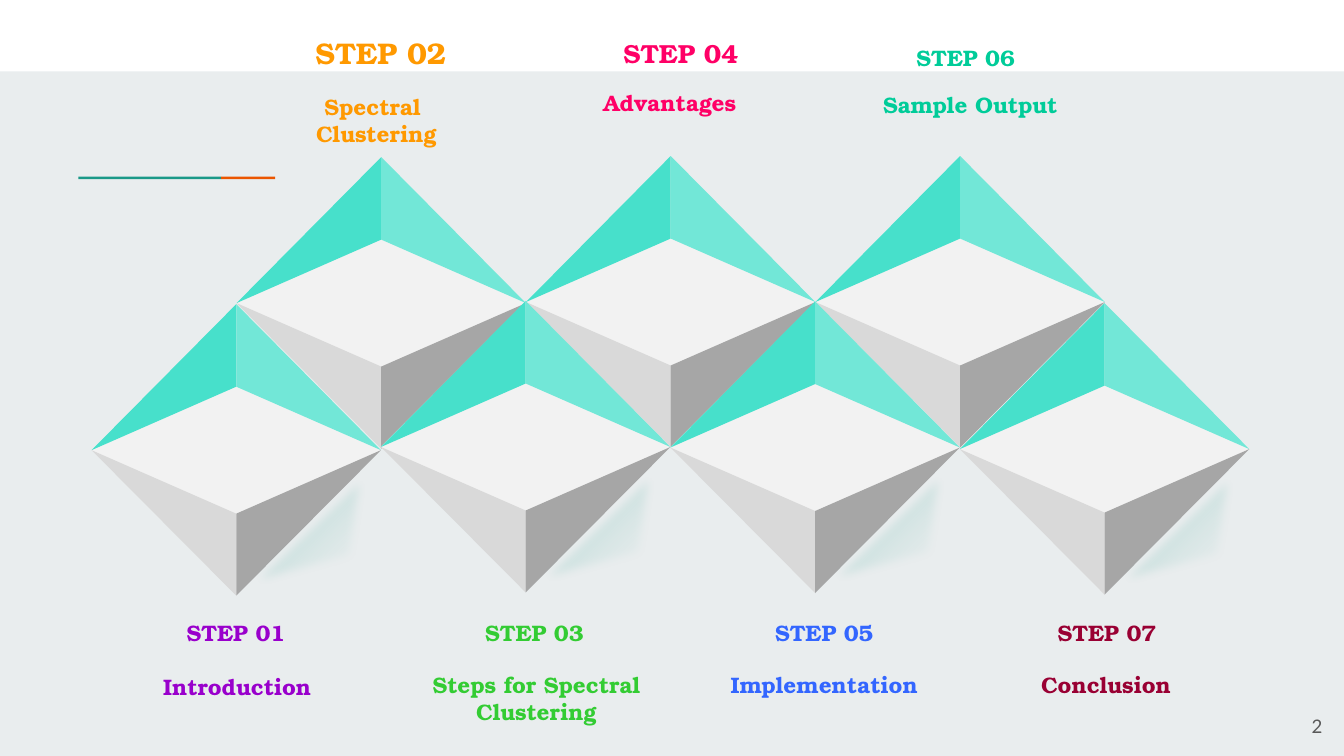
from lxml import etree
from pptx import Presentation
from pptx.dml.color import RGBColor
from pptx.enum.shapes import MSO_SHAPE
from pptx.enum.text import MSO_ANCHOR, MSO_AUTO_SIZE, PP_ALIGN
from pptx.oxml import parse_xml
from pptx.oxml.ns import nsdecls, qn
from pptx.util import Cm, Pt

WHITE = RGBColor(0xFF, 0xFF, 0xFF)
BACKDROP = RGBColor(0xE9, 0xED, 0xEE)
TEAL = RGBColor(0x1A, 0x99, 0x88)
RUST = RGBColor(0xEB, 0x56, 0x00)
TOP_FACE = RGBColor(0xF2, 0xF2, 0xF2)
LEFT_WALL = RGBColor(0x47, 0xE0, 0xCB)
RIGHT_WALL = RGBColor(0x72, 0xE7, 0xD7)
LEFT_SIDE = RGBColor(0xD9, 0xD9, 0xD9)
RIGHT_SIDE = RGBColor(0xA6, 0xA6, 0xA6)
PURPLE = RGBColor(0x99, 0x00, 0xCC)
ORANGE = RGBColor(0xFF, 0x99, 0x00)
GREEN = RGBColor(0x33, 0xCC, 0x33)
PINK = RGBColor(0xFF, 0x00, 0x66)
BLUE = RGBColor(0x33, 0x66, 0xFF)
MINT = RGBColor(0x00, 0xCC, 0x99)
MAROON = RGBColor(0x99, 0x00, 0x33)
GREY = RGBColor(0x59, 0x59, 0x59)

PAGE_WIDTH, PAGE_HEIGHT = 25.4, 14.29
CUBE_WIDTH = 5.47
BACK_ROW = (4.47, (2.97, 2.95, 2.95))
FRONT_ROW = (1.73, (5.75, 5.69, 5.7, 5.73))

STEPS = [
    ("STEP 01", PURPLE, 12, (2.77, 11.58), "Introduction", (2.39, 12.6, 4.19)),
    ("STEP 02", ORANGE, 16, (5.51, 0.53), "Spectral \nClustering", (5.36, 1.63, 3.51)),
    ("STEP 03", GREEN, 12, (8.41, 11.58), "Steps for Spectral Clustering", (7.42, 12.57, 5.44)),
    ("STEP 04", PINK, 14, (11.18, 0.58), "Advantages", (10.41, 1.57, 4.5)),
    ("STEP 05", BLUE, 12, (13.89, 11.58), "Implementation", (13.41, 12.57, 4.34)),
    ("STEP 06", MINT, 12, (16.56, 0.71), "Sample Output", (15.29, 1.6, 6.1)),
    ("STEP 07", MAROON, 12, (19.23, 11.58), "Conclusion", (19.18, 12.57, 3.45)),
]


def set_values(target, values):
    """Set attributes of an object from a dict."""
    for name, value in values.items():
        setattr(target, name, value)


def paint(shape, color):
    """Give a shape a flat fill without outline or shadow."""
    shape.shadow.inherit = False
    shape.line.fill.background()
    shape.fill.solid()
    shape.fill.fore_color.rgb = color


def add_preset(page, kind, box, color):
    """Add a flat preset shape in a box of centimetres."""
    shape = page.shapes.add_shape(kind, *map(Cm, box))
    paint(shape, color)


def add_polygon(page, points, color):
    """Add a closed flat polygon through points in centimetres."""
    corners = [(Cm(x), Cm(y)) for x, y in points]
    builder = page.shapes.build_freeform(*corners[0])
    builder.add_line_segments(corners[1:], close=True)
    polygon = builder.convert_to_shape()
    paint(polygon, color)
    return polygon


def add_header(page, box):
    """Add the white top band and the two-colour rule beneath it."""
    left, top, width, height = box
    add_preset(page, MSO_SHAPE.RECTANGLE, box, WHITE)
    for offset, length, color in ((1.48, 2.7, TEAL), (4.18, 1.02, RUST)):
        rule = (left + offset, top + 3.34, length, 0.05)
        add_preset(page, MSO_SHAPE.RECTANGLE, rule, color)


def add_cube(page, left, top):
    """Add an open cube: a diamond face, two walls and two sides."""
    right, center, middle = left + CUBE_WIDTH, left + CUBE_WIDTH / 2, top + 2.76
    face = (left, top + 0.02, CUBE_WIDTH, CUBE_WIDTH)
    add_preset(page, MSO_SHAPE.DIAMOND, face, TOP_FACE)
    facets = (
        (left, 1.56, 0, LEFT_WALL),
        (right, 1.56, 0, RIGHT_WALL),
        (left, 3.96, 5.51, LEFT_SIDE),
        (right, 3.96, 5.51, RIGHT_SIDE),
    )
    for edge, inner, tip, color in facets:
        points = [(center, top + inner), (center, top + tip), (edge, middle)]
        add_polygon(page, points, color)


def add_cube_shadow(page, left, top):
    """Add the soft translucent shadow at the lower right of a cube."""
    x, y = left + 2.4, top + 2.8
    shadow = add_polygon(page, [(x, y + 2.82), (x + 2.93, y), (x + 2.64, y + 2.11)], TEAL)
    properties = shadow._element.spPr
    gradient = parse_xml(
        f'<a:gradFill {nsdecls("a")} rotWithShape="1"><a:gsLst>'
        f'<a:gs pos="28000"><a:srgbClr val="{TEAL}"><a:alpha val="34000"/></a:srgbClr></a:gs>'
        f'<a:gs pos="100000"><a:srgbClr val="{TOP_FACE}"><a:alpha val="0"/></a:srgbClr></a:gs>'
        '</a:gsLst><a:lin ang="2700000" scaled="0"/></a:gradFill>'
    )
    properties.replace(properties.find(qn("a:solidFill")), gradient)
    effects = properties.find(qn("a:effectLst"))
    etree.SubElement(effects, qn("a:softEdge")).set("rad", "63500")


def add_cubes(page):
    """Add the back row, the front row and the front row's shadows."""
    for start, tops in (BACK_ROW, FRONT_ROW):
        for index, top in enumerate(tops):
            add_cube(page, start + index * CUBE_WIDTH, top)
    start, tops = FRONT_ROW
    for index, top in enumerate(tops):
        add_cube_shadow(page, start + index * CUBE_WIDTH, top)


def add_text(page, box, text, color, alignment, font, layout):
    """Add a wrapped text box in a box of centimetres."""
    frame = page.shapes.add_textbox(*map(Cm, box)).text_frame
    set_values(frame, {"word_wrap": True, "text": text, **layout})
    for para in frame.paragraphs:
        para.alignment = alignment
        for span in para.runs:
            set_values(span.font, font)
            span.font.color.rgb = color


def add_label(page, box, text, size, color):
    """Add a bold centred label that fits its text."""
    font = {"name": "TeX Gyre Bonum", "size": Pt(size), "bold": True}
    layout = {"auto_size": MSO_AUTO_SIZE.SHAPE_TO_FIT_TEXT}
    add_text(page, box, text, color, PP_ALIGN.CENTER, font, layout)


def add_step(page, step):
    """Add the heading and the caption of one step."""
    heading, color, size, place, caption, (left, top, width) = step
    add_label(page, (*place, 3.38, size * 0.06), heading, size, color)
    lines = 2 if len(caption) > 16 else 1
    add_label(page, (left, top, width, 0.26 + lines * 0.51), caption, 12, color)


def add_page_number(page, box):
    """Add the page number in the lower right corner."""
    sides = ("margin_left", "margin_top", "margin_right", "margin_bottom")
    layout = {**dict.fromkeys(sides, Cm(0.25)), "vertical_anchor": MSO_ANCHOR.MIDDLE}
    font = {"name": "Lato", "size": Pt(10)}
    add_text(page, box, "2", GREY, PP_ALIGN.RIGHT, font, layout)


def main():
    """Build the deck and save it."""
    deck = Presentation()
    deck.slide_width, deck.slide_height = Cm(PAGE_WIDTH), Cm(PAGE_HEIGHT)
    page = deck.slides.add_slide(deck.slide_layouts[6])
    page.background.fill.solid()
    page.background.fill.fore_color.rgb = BACKDROP
    add_header(page, (0, 0, PAGE_WIDTH, 1.35))
    add_cubes(page)
    for step in STEPS:
        add_step(page, step)
    add_page_number(page, (23.72, 13.18, 1.52, 1.09))
    deck.save("out.pptx")


if __name__ == "__main__":
    main()
